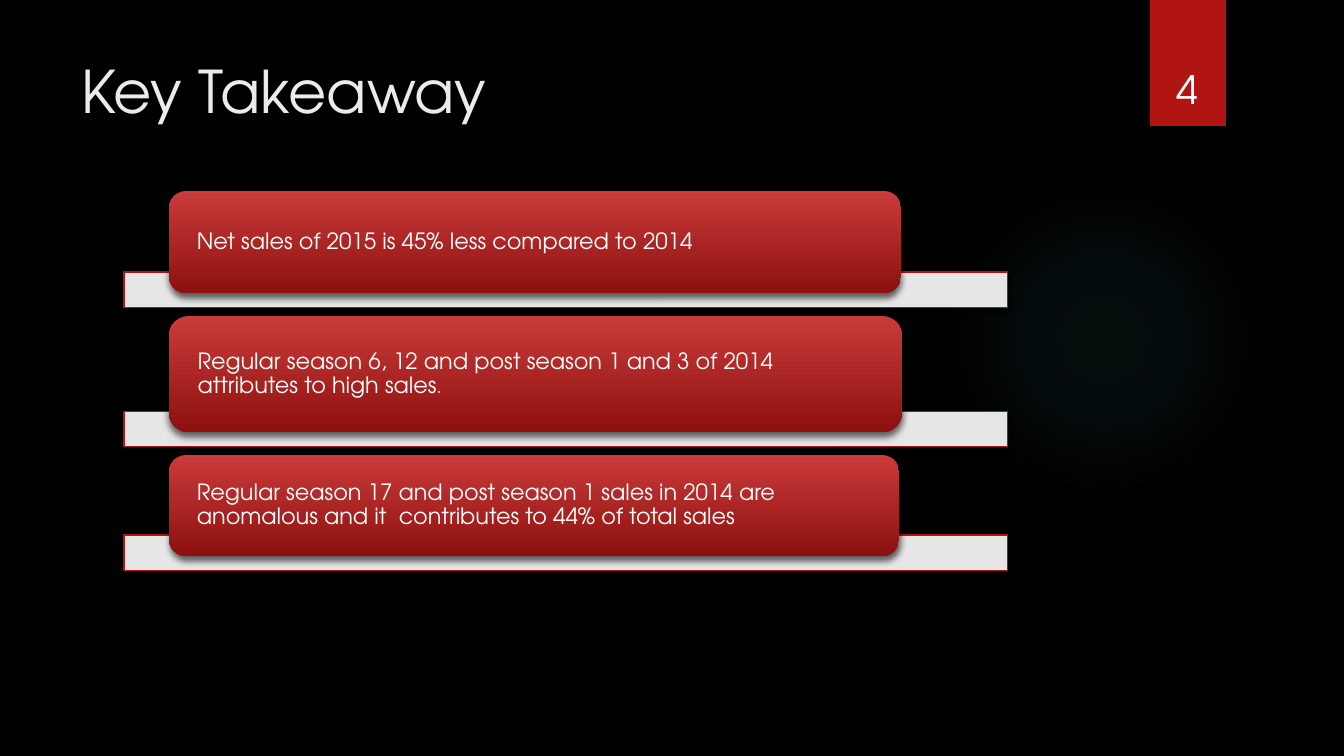
from lxml import etree
from pptx import Presentation
from pptx import util as u
from pptx.dml.color import RGBColor
from pptx.enum import shapes, text
from pptx.oxml import parse_xml
from pptx.oxml.ns import nsdecls, qn

BLACK = RGBColor(0x00, 0x00, 0x00)
WHITE = RGBColor(0xFF, 0xFF, 0xFF)
OFF_WHITE = RGBColor(0xEB, 0xEB, 0xEB)
RED = RGBColor(0xB0, 0x15, 0x13)
CARD_TOP = RGBColor(0xC9, 0x3B, 0x3A)
CARD_BOTTOM = RGBColor(0x8D, 0x11, 0x0F)
GLOW = RGBColor(0x50, 0xB9, 0xC1)

SHAPE = shapes.MSO_SHAPE
ANCHOR = text.MSO_ANCHOR
ALIGN = text.PP_ALIGN


def px(length):
    return u.Emu(round(length * 914400 / 100.8))


class TakeawaySlide:
    font = "TeX Gyre Adventor"
    soft_shadow = {"alpha": 45, "blur": 3, "dist": 2}
    card_shadow = {"alpha": 60, "blur": 5, "dist": 3}

    def __init__(self, deck):
        self.slide = deck.slides.add_slide(deck.slide_layouts[6])
        background = self.slide.background.fill
        background.solid()
        background.fore_color.rgb = BLACK

    def shape(self, kind, box, shadow=None):
        shape = self.slide.shapes.add_shape(kind, *map(px, box))
        shape.line.fill.background()
        shape.shadow.inherit = False
        if shadow:
            effects = shape._element.spPr.find(qn("a:effectLst"))
            effects.append(parse_xml(
                f'<a:outerShdw {nsdecls("a")} blurRad="{u.Pt(shadow["blur"])}" '
                f'dist="{u.Pt(shadow["dist"])}" dir="5400000" rotWithShape="0">'
                f'<a:srgbClr val="{BLACK}"><a:alpha val="{shadow["alpha"] * 1000}"/>'
                '</a:srgbClr></a:outerShdw>'))
        return shape

    def glow(self, box, stops):
        glow = self.shape(SHAPE.OVAL, box)
        glow.fill.background()
        stop_list = "".join(
            f'<a:gs pos="{place * 1000}"><a:srgbClr val="{GLOW}">'
            f'<a:alpha val="{alpha * 1000}"/></a:srgbClr></a:gs>'
            for place, alpha in stops)
        radial = parse_xml(
            f'<a:gradFill {nsdecls("a")} rotWithShape="1"><a:gsLst>{stop_list}</a:gsLst>'
            '<a:path path="circle"><a:fillToRect l="50000" t="50000" r="50000" b="50000"/>'
            '</a:path></a:gradFill>')
        properties = glow._element.spPr
        properties.replace(properties.find(qn("a:noFill")), radial)

    def block(self, box, color):
        block = self.shape(SHAPE.RECTANGLE, box, self.soft_shadow)
        block.fill.solid()
        block.fill.fore_color.rgb = color
        return block

    def bar(self, box):
        bar = self.block(box, WHITE)
        color = bar._element.spPr.find(qn("a:solidFill")).find(qn("a:srgbClr"))
        etree.SubElement(color, qn("a:alpha")).set("val", "90000")
        bar.line.color.rgb = RED
        bar.line.width = u.Pt(0.75)

    def card(self, box, runs):
        card = self.shape(SHAPE.ROUNDED_RECTANGLE, box, self.card_shadow)
        card.fill.gradient()
        card.fill.gradient_angle = 270
        for stop, color in zip(card.fill.gradient_stops, (CARD_TOP, CARD_BOTTOM)):
            stop.color.rgb = color
        frame_format = {"margin_left": px(23), "margin_right": px(23),
                        "margin_top": 0, "margin_bottom": 0,
                        "vertical_anchor": ANCHOR.MIDDLE}
        self.wording(card.text_frame, runs, WHITE, frame_format,
                     {"alignment": ALIGN.LEFT, "line_spacing": 0.9})

    def label(self, box, words, size, color, anchor, align):
        label = self.slide.shapes.add_textbox(*map(px, box))
        self.wording(label.text_frame, [(words, size)], color,
                     {"vertical_anchor": anchor}, {"alignment": align})

    def wording(self, frame, runs, color, frame_format, paragraph_format):
        paragraph = frame.paragraphs[0]
        for target, values in ((frame, {"word_wrap": True, **frame_format}),
                               (paragraph, paragraph_format)):
            for name, value in values.items():
                setattr(target, name, value)
        for words, size in runs:
            run = paragraph.add_run()
            run.text = words
            for name, value in {"name": self.font, "size": u.Pt(size)}.items():
                setattr(run.font, name, value)
            run.font.color.rgb = color


def main():
    deck = Presentation()
    deck.slide_width, deck.slide_height = px(1344), px(756)
    page = TakeawaySlide(deck)

    page.glow((949, 184, 310, 310), [(0, 7), (36, 6), (69, 0)])
    page.block((1150, 0, 76, 126), RED)
    page.label((72, 50, 1037, 154), "Key Takeaway", 42, OFF_WHITE, ANCHOR.TOP, ALIGN.LEFT)

    takeaways = [
        (191, 732, 102, [("Net sales of 2015 is 45% less compared to 2014", 16)]),
        (316, 733, 116, [("Regular season 6, 12 and post season 1 and 3 of 2014 "
                          "attributes to high sales", 16), (".", 12)]),
        (455, 730, 101, [("Regular season 17 and post season 1 sales in 2014 are "
                          "anomalous and it  contributes to 44% of total sales", 16)]),
    ]
    overlap = 21
    for top, width, height, runs in takeaways:
        page.bar((124, top + height - overlap, 884, 36))
        page.card((169, top, width, height), runs)

    page.label((1141, 32, 93, 85), "4", 28, WHITE, ANCHOR.BOTTOM, ALIGN.CENTER)
    deck.save("out.pptx")


if __name__ == "__main__":
    main()
